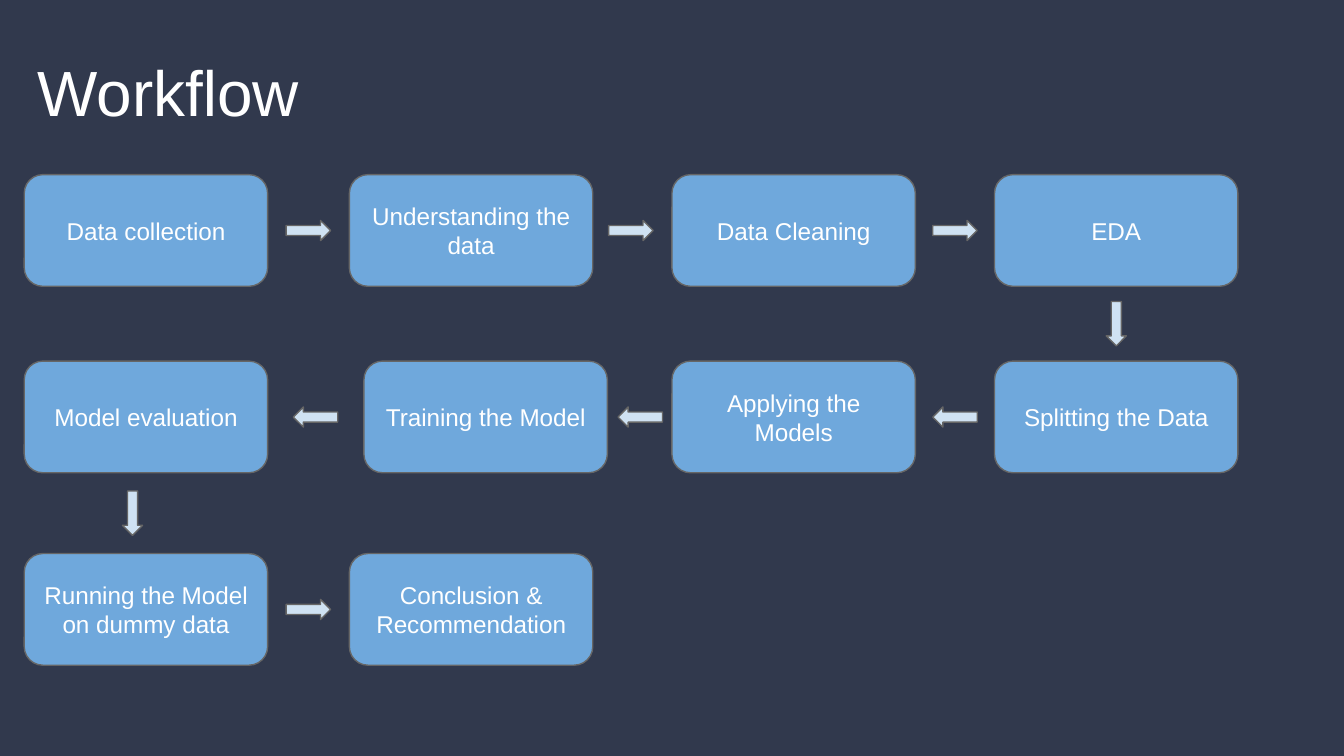
from pptx import Presentation
from pptx.dml.color import RGBColor
from pptx.enum.shapes import MSO_SHAPE as Shape
from pptx.enum.text import MSO_ANCHOR as Anchor, PP_ALIGN as Align
from pptx.util import Pt

NAVY = RGBColor(0x31, 0x39, 0x4D)
BLUE = RGBColor(0x6F, 0xA8, 0xDC)
PALE_BLUE = RGBColor(0xCF, 0xE2, 0xF3)
GRAY = RGBColor(0x66, 0x66, 0x66)
WHITE = RGBColor(0xFF, 0xFF, 0xFF)

FONT = "Arial"
INSET = 7.2
BOX_WIDTH, BOX_HEIGHT = 130.4, 59.8
ARROW_WIDTH, ARROW_HEIGHT = 23.8, 10.8
COLUMNS = (13, 187.2, 360, 532.8)
ROWS = (93.6, 193.5, 296.6)
TRAINING_LEFT = 195

STEPS = (
    (COLUMNS[0], 0, "Data collection"),
    (COLUMNS[1], 0, "Understanding the data"),
    (COLUMNS[2], 0, "Data Cleaning"),
    (COLUMNS[3], 0, "EDA"),
    (COLUMNS[3], 1, "Splitting the Data"),
    (COLUMNS[2], 1, "Applying the Models"),
    (TRAINING_LEFT, 1, "Training the Model"),
    (COLUMNS[0], 1, "Model evaluation"),
    (COLUMNS[0], 2, "Running the Model on dummy data"),
    (COLUMNS[1], 2, "Conclusion & Recommendation"),
)
RIGHT, DOWN, LEFT = 0, 90, 180
SIDE_ARROWS = (
    (165.2, 0, RIGHT),
    (338, 0, RIGHT),
    (511.6, 0, RIGHT),
    (511.6, 1, LEFT),
    (343, 1, LEFT),
    (169, 1, LEFT),
    (165.2, 2, RIGHT),
)
DOWN_ARROWS = ((598, 0), (71, 1))


def write_text(shape, text, size, anchor, align):
    frame = shape.text_frame
    frame.word_wrap = True
    frame.vertical_anchor = anchor
    frame.margin_left = frame.margin_right = Pt(INSET)
    frame.margin_top = frame.margin_bottom = Pt(INSET)
    paragraph = frame.paragraphs[0]
    paragraph.alignment = align
    run = paragraph.add_run()
    run.text = text
    run.font.name = FONT
    run.font.size = Pt(size)
    run.font.color.rgb = WHITE


def add_filled_shape(slide, kind, left, top, width, height, color):
    shape = slide.shapes.add_shape(kind, Pt(left), Pt(top), Pt(width), Pt(height))
    shape.shadow.inherit = False
    shape.fill.solid()
    shape.fill.fore_color.rgb = color
    shape.line.color.rgb = GRAY
    shape.line.width = Pt(0.75)
    return shape


def add_title(slide, text):
    title = slide.shapes.add_textbox(Pt(13), Pt(23), Pt(174.2), Pt(53.3))
    write_text(title, text, 34.2, Anchor.BOTTOM, Align.LEFT)


def add_step(slide, left, row, text):
    box = add_filled_shape(slide, Shape.ROUNDED_RECTANGLE, left, ROWS[row],
                           BOX_WIDTH, BOX_HEIGHT, BLUE)
    write_text(box, text, 13, Anchor.MIDDLE, Align.CENTER)


def add_arrow(slide, center_x, center_y, direction):
    arrow = add_filled_shape(slide, Shape.RIGHT_ARROW,
                             center_x - ARROW_WIDTH / 2, center_y - ARROW_HEIGHT / 2,
                             ARROW_WIDTH, ARROW_HEIGHT, PALE_BLUE)
    arrow.rotation = direction


def main():
    presentation = Presentation()
    presentation.slide_width = Pt(720)
    presentation.slide_height = Pt(405)
    slide = presentation.slides.add_slide(presentation.slide_layouts[6])
    slide.background.fill.solid()
    slide.background.fill.fore_color.rgb = NAVY

    add_title(slide, "Workﬂow")
    for left, row, text in STEPS:
        add_step(slide, left, row, text)
    for center_x, row, direction in SIDE_ARROWS:
        add_arrow(slide, center_x, ROWS[row] + BOX_HEIGHT / 2, direction)
    for center_x, row in DOWN_ARROWS:
        gap_center = (ROWS[row] + BOX_HEIGHT + ROWS[row + 1]) / 2
        add_arrow(slide, center_x, gap_center, DOWN)

    presentation.save("out.pptx")


if __name__ == "__main__":
    main()
